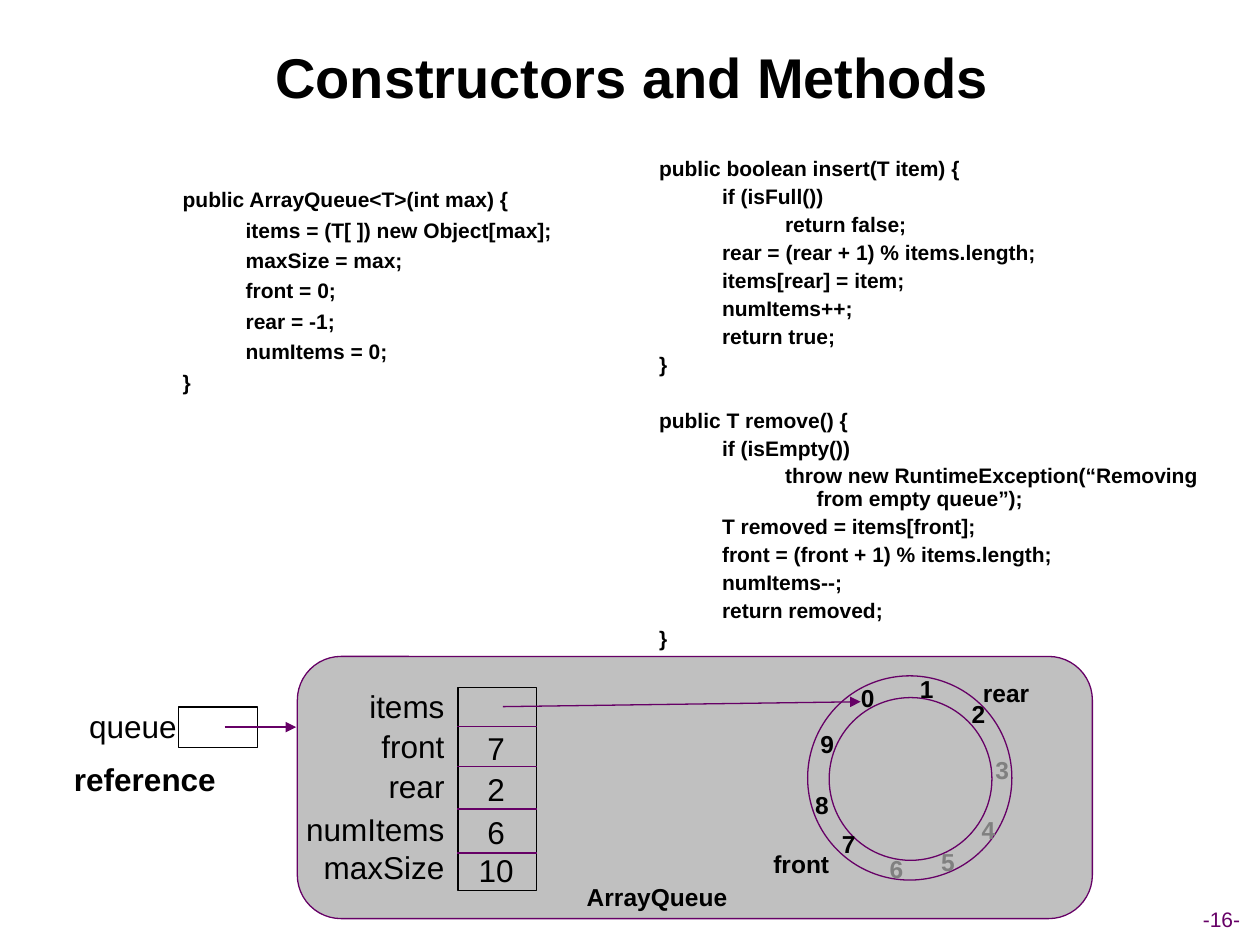
import pptx
import pptx.dml.color
import pptx.enum.shapes
import pptx.enum.text
import pptx.oxml.ns
import pptx.util
from lxml import etree

Pt = pptx.util.Pt
RGBColor = pptx.dml.color.RGBColor
ALIGN = pptx.enum.text.PP_ALIGN
ANCHOR = pptx.enum.text.MSO_ANCHOR
SHAPE = pptx.enum.shapes.MSO_SHAPE
qn = pptx.oxml.ns.qn

BLACK = RGBColor(0x00, 0x00, 0x00)
PURPLE = RGBColor(0x66, 0x00, 0x66)
SILVER = RGBColor(0xC0, 0xC0, 0xC0)
GRAY = RGBColor(0x80, 0x80, 0x80)

presentation = pptx.Presentation()
presentation.slide_width = Pt(720)
presentation.slide_height = Pt(540)
slide = presentation.slides.add_slide(presentation.slide_layouts[3])


def format_font(paragraph, size, bold, color):
    for run in paragraph.runs:
        run.font.name = "Arial"
        run.font.size = Pt(size)
        run.font.bold = bold
        run.font.color.rgb = color


def add_label(text, left, top, width, size=18, bold=False, color=BLACK, align=ALIGN.CENTER):
    label = slide.shapes.add_textbox(Pt(left), Pt(top), Pt(width), Pt(size * 1.2 + 7.2))
    label.text_frame.word_wrap = False
    label.text_frame.margin_left = label.text_frame.margin_right = 0
    label.text_frame.text = text
    paragraph = label.text_frame.paragraphs[0]
    paragraph.alignment = align
    format_font(paragraph, size, bold, color)


title = slide.shapes.title
title.left, title.top, title.width, title.height = Pt(27.4), Pt(9), Pt(667.4), Pt(68.4)
title.text_frame.text = "Constructors and Methods"
title.text_frame.vertical_anchor = ANCHOR.MIDDLE
title.text_frame.paragraphs[0].alignment = ALIGN.CENTER
format_font(title.text_frame.paragraphs[0], 32, True, BLACK)

constructor_code = [
    (1, "public ArrayQueue<T>(int max) {"),
    (2, "items = (T[ ]) new Object[max];"),
    (2, "maxSize = max;"),
    (2, "front = 0;"),
    (2, "rear = -1;"),
    (2, "numItems = 0;"),
    (1, "}"),
]
method_code = [
    (1, "public boolean insert(T item) {"),
    (2, "if (isFull())"),
    (3, "return false;"),
    (2, "rear = (rear + 1) % items.length;"),
    (2, "items[rear] = item;"),
    (2, "numItems++;"),
    (2, "return true;"),
    (1, "}"),
    (1, "public T remove() {"),
    (2, "if (isEmpty())"),
    (3, "throw new RuntimeException(“Removing from empty queue”);"),
    (2, "T removed = items[front];"),
    (2, "front = (front + 1) % items.length;"),
    (2, "numItems--;"),
    (2, "return removed;"),
    (1, "}"),
]
level_indents = {1: (58.5, -22.5), 2: (90, -18), 3: (126, -18)}
code_blocks = [
    (1, constructor_code, 61.2, 103, 283.7, 214, 1.0),
    (2, method_code, 333.4, 87.1, 384, 284, 0.9),
]
for index, code, left, top, width, height, line_spacing in code_blocks:
    body = slide.placeholders[index]
    body.left, body.top, body.width, body.height = Pt(left), Pt(top), Pt(width), Pt(height)
    frame = body.text_frame
    frame.auto_size = pptx.enum.text.MSO_AUTO_SIZE.NONE
    for number, (level, text) in enumerate(code):
        paragraph = frame.add_paragraph() if number else frame.paragraphs[0]
        paragraph.text = text
        paragraph.level = level
        paragraph.line_spacing = line_spacing
        starts_method = number > 0 and text.startswith("public")
        paragraph.space_before = Pt(18.9 if starts_method else 3 if number else 0)
        margin, indent = level_indents[level]
        properties = paragraph._p.get_or_add_pPr()
        properties.set("marL", str(Pt(margin)))
        properties.set("indent", str(Pt(indent)))
        etree.SubElement(properties, qn("a:buNone"))
        format_font(paragraph, 12, True, BLACK)

outlines = [
    (SHAPE.ROUNDED_RECTANGLE, 169.9, 375.1, 454.3, 149.8, SILVER, PURPLE),
    (SHAPE.RECTANGLE, 102.2, 404, 45, 23, None, BLACK),
    (SHAPE.RECTANGLE, 261.8, 393, 44.9, 116, None, BLACK),
    (SHAPE.OVAL, 473.8, 398.6, 93, 93, None, PURPLE),
    (SHAPE.OVAL, 461.5, 386.2, 116.7, 116.7, None, PURPLE),
]
for kind, left, top, width, height, fill, line in outlines:
    shape = slide.shapes.add_shape(kind, Pt(left), Pt(top), Pt(width), Pt(height))
    shape.shadow.inherit = False
    if fill is None:
        shape.fill.background()
    else:
        shape.fill.solid()
        shape.fill.fore_color.rgb = fill
    shape.line.color.rgb = line
    shape.line.width = Pt(0.75)

lines = [(261.4, y, 307, y, False) for y in (415.2, 438.2, 462.3, 487.4)]
lines += [(128.3, 415.5, 169.2, 415.5, True), (287.3, 403.8, 491.8, 401, True)]
for x1, y1, x2, y2, has_arrow in lines:
    connector = slide.shapes.add_connector(
        pptx.enum.shapes.MSO_CONNECTOR.STRAIGHT, Pt(x1), Pt(y1), Pt(x2), Pt(y2))
    connector.line.color.rgb = PURPLE
    connector.line.width = Pt(0.75)
    if has_arrow:
        etree.SubElement(connector.line._get_or_add_ln(), qn("a:tailEnd"), type="triangle")
    etree.SubElement(connector._element.spPr, qn("a:effectLst"))

fields = [
    ("items", "", 388.8),
    ("front", "7", 411.8),
    ("rear", "2", 434.9),
    ("numItems", "6", 459.4),
    ("maxSize", "10", 481),
]
for name, value, top in fields:
    add_label(name, 167.8, top, 86.2, align=ALIGN.RIGHT)
    if value:
        add_label(value, 266, top + 1.5, 35)

add_label("queue", 43.9, 400.3, 64.1)
add_label("reference", 35.3, 430.6, 95, bold=True)
add_label("ArrayQueue", 328.3, 500.4, 94.3, 14, True)
add_label("rear", 554.4, 383.8, 41, 14, True)
add_label("front", 434.9, 481.7, 46.1, 14, True)

slot_positions = [
    (484.6, 386.6), (518.4, 381.6), (547.9, 396), (561.6, 427.7), (553.7, 462.2),
    (530.6, 480.2), (501.1, 484.6), (473.8, 470.2), (458.6, 447.8), (461.5, 413.3),
]
for slot, (left, top) in enumerate(slot_positions):
    add_label(str(slot), left, top, 22.3, 14, True, GRAY if 3 <= slot <= 6 else BLACK)

add_label("-16-", 659.5, 514.4, 77, 12, False, PURPLE)

presentation.save("out.pptx")
